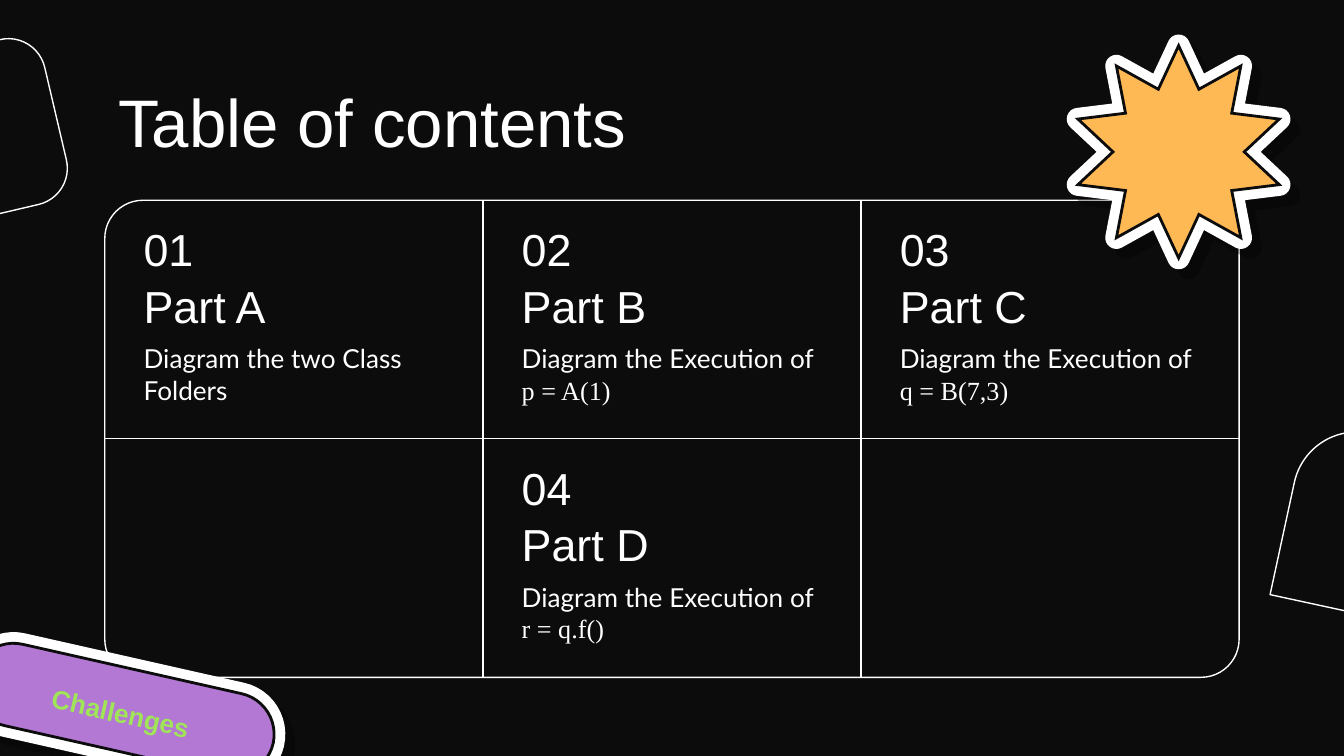
from lxml.etree import SubElement
from pptx import Presentation
from pptx.dml.color import RGBColor
from pptx.enum.shapes import MSO_CONNECTOR as Connector, MSO_SHAPE as Shape
from pptx.enum.text import MSO_ANCHOR as Anchor, MSO_AUTO_SIZE as AutoSize, PP_ALIGN as Align
from pptx.oxml.ns import qn
from pptx.util import Inches, Pt

TITLE = "Table of contents"
BADGE = "Challenges"
PARTS = [
    dict(row=0, column=0, number="01", name="Part A", task="Diagram the two Class Folders", code=""),
    dict(row=0, column=1, number="02", name="Part B", task="Diagram the Execution of ", code="p = A(1)"),
    dict(row=0, column=2, number="03", name="Part C", task="Diagram the Execution of ", code="q = B(7,3)"),
    dict(row=1, column=1, number="04", name="Part D", task="Diagram the Execution of ", code="r = q.f()"),
]
THEME = dict(
    dark="0C0C0D", white="FFFFFF", orange="FFB954", purple="B278D3", green="A0E557", shadow="000000",
    heading="Arial", body="Lato", code="Times New Roman",
    title_size=36, part_size=24, body_size=14,
    thin=0.75, outline=1.5, sticker=12,
)
GRID = dict(left=0.78, top=1.49, width=8.44, height=3.55, columns=3, rows=2)
TEXT_INDENT = 0.19
STAR = (8.02, 0.34, 1.5, 1.58)
PILL = (-0.23, 4.97, 2.29, 0.62)
PILL_TEXT = (0.01, 5.13, 1.79, 0.29)
PILL_ROTATION = 12.7
OUTLINES = [
    (Shape.ROUND_2_SAME_RECTANGLE, (9.58, 3.21, 0.95, 1.33), (0.5, 0), 12.2),
    (Shape.ROUNDED_RECTANGLE, (-0.84, 0.36, 1.27, 1.26), (0.22,), 346.8),
]


def color(name):
    return RGBColor.from_string(THEME[name])


def inches(values):
    return [Inches(value) for value in values]


def add_outline(shapes, kind, place, adjustments, fill=None, line="white", weight="thin", rotation=0):
    shape = shapes.add_shape(kind, *inches(place))
    for index, value in enumerate(adjustments):
        shape.adjustments[index] = value
    shape.rotation = rotation
    shape.shadow.inherit = False
    if fill:
        shape.fill.solid()
        shape.fill.fore_color.rgb = color(fill)
    else:
        shape.fill.background()
    shape.line.color.rgb = color(line)
    shape.line.width = Pt(THEME[weight])
    return shape


def add_sticker(slide, kind, place, adjustments, fill, rotation=0):
    group = slide.shapes.add_group_shape()
    back = add_outline(group.shapes, kind, place, adjustments, "white", "white", "sticker", rotation)
    front = add_outline(group.shapes, kind, place, adjustments, fill, "dark", "outline", rotation)
    SubElement(back.line._get_or_add_ln(), qn("a:round"))
    SubElement(front.line._get_or_add_ln(), qn("a:miter"), lim="800000")
    effects = back._element.spPr.find(qn("a:effectLst"))
    shadow = SubElement(effects, qn("a:outerShdw"), dist=str(Pt(7.5)), dir=str(46 * 60000),
                        algn="bl", rotWithShape="0")
    tint = SubElement(shadow, qn("a:srgbClr"), val=THEME["shadow"])
    SubElement(tint, qn("a:alpha"), val="31000")
    return group


def add_rule(slide, start, end):
    rule = slide.shapes.add_connector(Connector.STRAIGHT, *inches(start + end))
    rule.line.color.rgb = color("white")
    rule.line.width = Pt(THEME["thin"])
    SubElement(rule._element.spPr, qn("a:effectLst"))
    return rule


def format_frame(frame, anchor, inset=0.1):
    frame.word_wrap = True
    frame.auto_size = AutoSize.NONE
    frame.vertical_anchor = anchor
    frame.margin_left = frame.margin_right = frame.margin_top = frame.margin_bottom = Inches(inset)


def format_span(span, font, size, tint="white"):
    span.font.name = THEME[font]
    span.font.size = Pt(THEME[size])
    span.font.color.rgb = color(tint)


def add_text(shapes, place, spans, size, anchor, inset=0.1, tint="white"):
    box = shapes.add_textbox(*inches(place))
    format_frame(box.text_frame, anchor, inset)
    para = box.text_frame.paragraphs[0]
    for text, font in spans:
        span = para.add_run()
        span.text = text
        format_span(span, font, size, tint)
    return box


def add_title(slide):
    title = slide.shapes.title
    title.left, title.top, title.width, title.height = inches((GRID["left"], 0.49, GRID["width"], 0.81))
    title.text_frame.text = TITLE
    format_frame(title.text_frame, Anchor.BOTTOM)
    para = title.text_frame.paragraphs[0]
    para.alignment = Align.LEFT
    format_span(para.runs[0], "heading", "title_size")


def add_grid(slide):
    left, top, width, height = (GRID[key] for key in ("left", "top", "width", "height"))
    frame = add_outline(slide.shapes, Shape.ROUNDED_RECTANGLE, (left, top, width, height), (0.08,))
    middle = top + height / GRID["rows"]
    rule = add_rule(slide, (left, middle), (left + width, middle))
    rule.begin_connect(frame, 1)
    rule.end_connect(frame, 3)
    for column in range(1, GRID["columns"]):
        x = left + column * width / GRID["columns"]
        add_rule(slide, (x, top), (x, top + height))


def add_part(slide, part):
    left = GRID["left"] + part["column"] * GRID["width"] / GRID["columns"] + TEXT_INDENT
    top = GRID["top"] + part["row"] * GRID["height"] / GRID["rows"]
    task = [(part["task"], "body")]
    if part["code"]:
        task.append((part["code"], "code"))
    add_text(slide.shapes, (left, top + 0.12, 0.83, 0.48), [(part["number"], "heading")], "part_size", Anchor.MIDDLE)
    add_text(slide.shapes, (left, top + 0.54, 2.45, 0.48), [(part["name"], "heading")], "part_size", Anchor.MIDDLE)
    add_text(slide.shapes, (left, top + 0.96, 2.45, 0.67), task, "body_size", Anchor.TOP)


def add_badge(slide):
    group = add_sticker(slide, Shape.ROUNDED_RECTANGLE, PILL, (0.5,), "purple", PILL_ROTATION)
    box = add_text(group.shapes, PILL_TEXT, [(BADGE, "heading")], "body_size", Anchor.TOP, 0.06, "green")
    box.rotation = PILL_ROTATION
    para = box.text_frame.paragraphs[0]
    para.alignment = Align.CENTER
    span = para.runs[0]
    span.font.bold = True
    line = span.font._element.makeelement(qn("a:ln"), w=str(Pt(THEME["outline"])))
    SubElement(SubElement(line, qn("a:solidFill")), qn("a:srgbClr"), val=THEME["dark"])
    span.font._element.insert(0, line)


def main():
    deck = Presentation()
    deck.slide_width = Inches(10)
    deck.slide_height = deck.slide_width * 9 // 16
    page = deck.slides.add_slide(deck.slide_layouts[5])
    page.background.fill.solid()
    page.background.fill.fore_color.rgb = color("dark")
    add_title(page)
    add_grid(page)
    for part in PARTS:
        add_part(page, part)
    add_sticker(page, Shape.STAR_10_POINT, STAR, (0.31, 1.05), "orange")
    add_badge(page)
    for kind, place, adjustments, rotation in OUTLINES:
        add_outline(page.shapes, kind, place, adjustments, rotation=rotation)
    deck.save("out.pptx")


if __name__ == "__main__":
    main()
